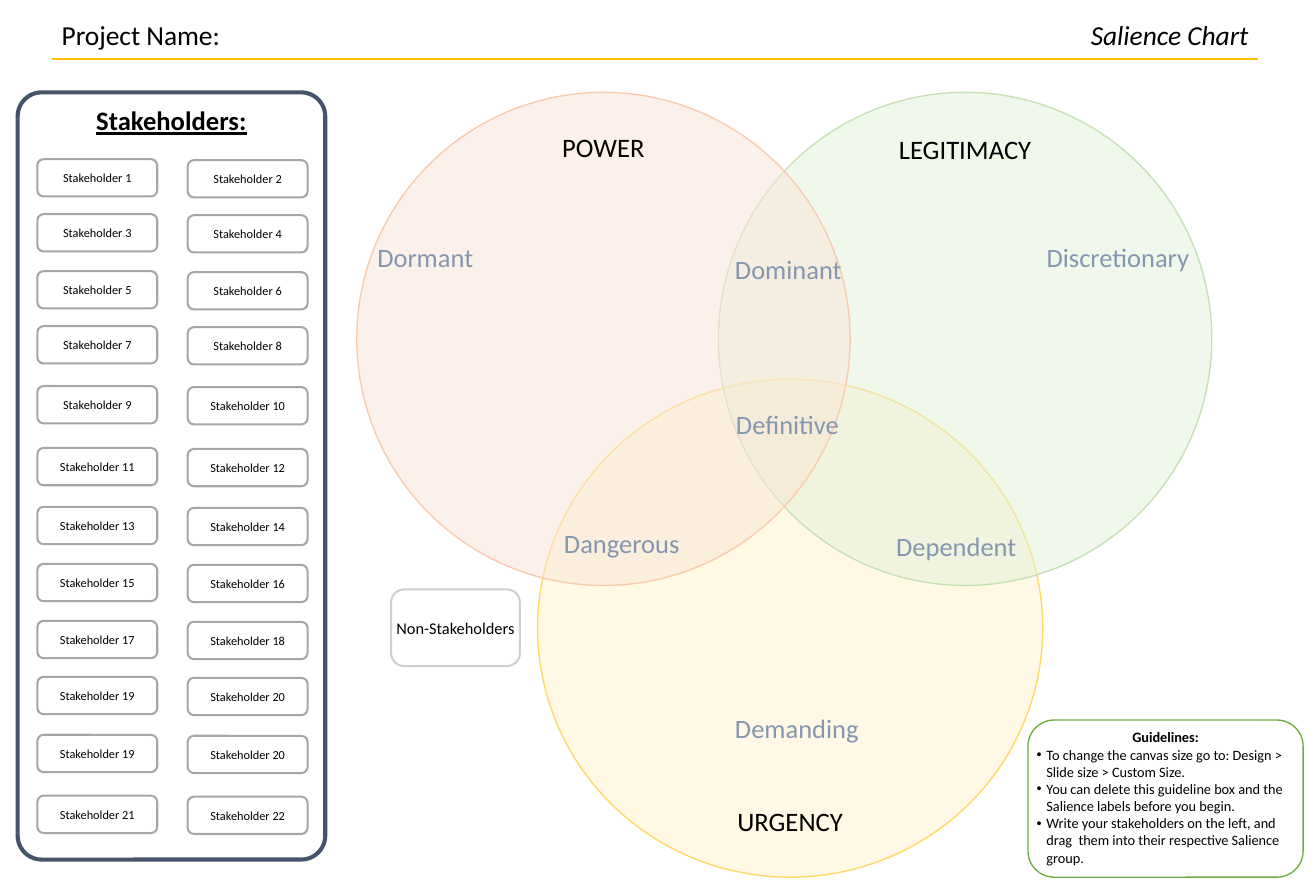
from lxml import etree
from pptx import Presentation
from pptx.dml.color import RGBColor
from pptx.enum.shapes import MSO_CONNECTOR, MSO_SHAPE
from pptx.enum.text import MSO_ANCHOR, MSO_AUTO_SIZE, PP_ALIGN
from pptx.oxml.ns import qn
from pptx.util import Inches, Pt

ELLIPSE, ROUNDED = MSO_SHAPE.OVAL, MSO_SHAPE.ROUNDED_RECTANGLE
STRAIGHT = MSO_CONNECTOR.STRAIGHT
LEFT, CENTER, RIGHT = PP_ALIGN.LEFT, PP_ALIGN.CENTER, PP_ALIGN.RIGHT
TOP, MIDDLE = MSO_ANCHOR.TOP, MSO_ANCHOR.MIDDLE
GROW = MSO_AUTO_SIZE.SHAPE_TO_FIT_TEXT

BLACK, WHITE, LABEL_BLUE = "000000", "FFFFFF", "8497B0"
MARGINS = ("margin_left", "margin_top", "margin_right", "margin_bottom")
CARD_ROW_TOPS = (0.68, 1.24, 1.82, 2.38, 2.99, 3.62,
                 4.22, 4.8, 5.38, 5.95, 6.54, 7.16)
CARD_NUMBERS = [*range(1, 21), *range(19, 23)]
CIRCLES = (
    ("URGENCY", 1.84, 2.92, 5.14, 5.07, 4.28, "FFF2CC", "FFD966"),
    ("LEGITIMACY", 3.68, 0, 5.02, 5.02, 0.36, "E2F0D9", "C5E0B4"),
    ("POWER", 0, 0, 5.02, 5.02, 0.34, "FBE5D6", "F8CBAD"),
)
SALIENCE_LABELS = (
    ("Dormant", 0.11, 1.47), ("Dominant", 3.75, 1.59),
    ("Discretionary", 6.92, 1.47), ("Definitive", 3.76, 3.17),
    ("Dangerous", 2.01, 4.38), ("Dependent", 5.39, 4.41),
    ("Demanding", 3.75, 6.26),
)
GUIDELINES = (
    "To change the canvas size go to: Design > Slide size > Custom Size.",
    "You can delete this guideline box and the Salience labels before you begin.",
    "Write your stakeholders on the left, and drag  them into their respective Salience group.",
)


def rgb(value):
    return RGBColor.from_string(value)


def apply_format(target, values):
    for name, value in values.items():
        setattr(target, name, value)


def write(paragraph, text, size, color=BLACK, align=LEFT, **font):
    paragraph.alignment = align
    run = paragraph.add_run()
    run.text = text
    run.font.color.rgb = rgb(color)
    apply_format(run.font, {"name": "Calibri", "size": Pt(size), **font})


def add_label(slide, box, text, size, color=BLACK, align=LEFT, **font):
    frame = slide.shapes.add_textbox(*map(Inches, box)).text_frame
    apply_format(frame, {"word_wrap": True, "auto_size": GROW})
    write(frame.paragraphs[0], text, size, color, align, **font)


def add_outlined(slide, kind, box, line, width, fill=None, opacity=100,
                 margin=None, anchor=MIDDLE):
    shape = slide.shapes.add_shape(kind, *map(Inches, box))
    shape.shadow.inherit = False
    shape.line.color.rgb = rgb(line)
    shape.line.width = Pt(width)
    if fill:
        shape.fill.solid()
        shape.fill.fore_color.rgb = rgb(fill)
        if opacity < 100:
            color = shape.fill._xPr.find(qn("a:solidFill"))[0]
            etree.SubElement(color, qn("a:alpha"), val=str(opacity * 1000))
    else:
        shape.fill.background()
    frame = shape.text_frame
    apply_format(frame, {"word_wrap": True, "vertical_anchor": anchor})
    if margin is not None:
        apply_format(frame, dict.fromkeys(MARGINS, Inches(margin)))
    return shape


def add_card(slide, box, text, size, line, margin):
    card = add_outlined(slide, ROUNDED, box, line, 1.5, WHITE, 85, margin)
    write(card.text_frame.paragraphs[0], text, size, align=CENTER)


def add_header(slide, left, top, width):
    rule_y = top + 0.46
    rule = slide.shapes.add_connector(
        STRAIGHT, *map(Inches, (left, rule_y, left + width, rule_y)))
    rule.line.color.rgb = rgb("FFC000")
    rule.line.width = Pt(1.5)
    etree.SubElement(rule._element.spPr, qn("a:effectLst"))
    title_width = 4.07
    add_label(slide, (left, top, title_width, 0.44), "Project Name:", 20.1)
    add_label(slide, (left + width - title_width, top, title_width, 0.44),
              "Salience Chart", 20.1, align=RIGHT, italic=True)


def add_venn(slide, left, top):
    for title, dx, dy, width, height, title_dy, fill, line in CIRCLES:
        x, y = left + dx, top + dy
        add_outlined(slide, ELLIPSE, (x, y, width, height), line, 1, fill, 50)
        add_label(slide, (x, y + title_dy, width, 0.43), title, 19.5,
                  align=CENTER)
    for label, dx, dy in SALIENCE_LABELS:
        add_label(slide, (left + dx, top + dy, 1.75, 0.43), label, 19.4,
                  LABEL_BLUE)


def add_stakeholders(slide, left, top, width, height):
    panel = add_outlined(slide, ROUNDED, (left, top, width, height),
                         "44546A", 3, anchor=TOP)
    panel.adjustments[0] = 0.078
    write(panel.text_frame.paragraphs[0], "Stakeholders:", 19.5, align=CENTER,
          bold=True, underline=True)
    for index, number in enumerate(CARD_NUMBERS):
        row, column = divmod(index, 2)
        box = (left + 0.2 + column * 1.53,
               top + CARD_ROW_TOPS[row] + column * 0.01, 1.22, 0.38)
        add_card(slide, box, f"Stakeholder {number}", 9, "A6A6A6", 0.02)


def add_guidelines(slide, *box):
    frame = add_outlined(slide, ROUNDED, box, "70AD47", 1, WHITE,
                         margin=0.01, anchor=TOP).text_frame
    write(frame.paragraphs[0], "Guidelines:", 10.5, align=CENTER, bold=True)
    for guideline in GUIDELINES:
        paragraph = frame.add_paragraph()
        properties = paragraph._p.get_or_add_pPr()
        properties.set("marL", str(Inches(0.1)))
        properties.set("indent", str(Inches(-0.1)))
        etree.SubElement(properties, qn("a:buFont"), typeface="Arial")
        etree.SubElement(properties, qn("a:buChar"), char="•")
        write(paragraph, guideline, 10.5)


def main():
    deck = Presentation()
    apply_format(deck, {"slide_width": Inches(13.39),
                        "slide_height": Inches(9.06)})
    slide = deck.slides.add_slide(deck.slide_layouts[6])
    add_header(slide, 0.53, 0.14, 12.27)
    add_venn(slide, 3.63, 0.94)
    add_stakeholders(slide, 0.18, 0.94, 3.13, 7.81)
    add_card(slide, (3.98, 6, 1.31, 0.78), "Non-Stakeholders", 12, "D0CECE", 0)
    add_guidelines(slide, 10.46, 7.33, 2.8, 1.6)
    deck.save("out.pptx")


if __name__ == "__main__":
    main()
